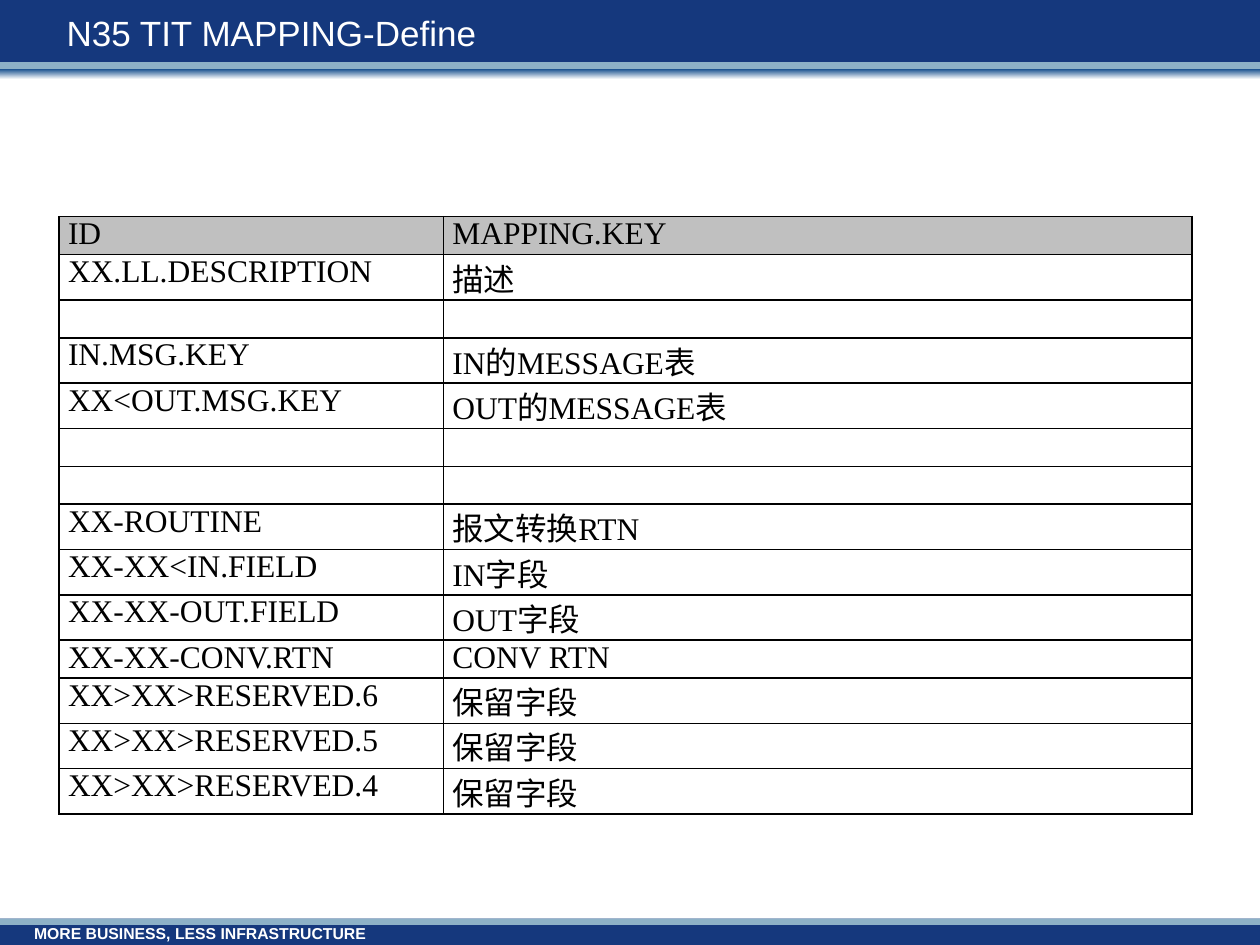
from lxml import etree
from pptx import Presentation
from pptx.dml.color import RGBColor
from pptx.enum.shapes import MSO_SHAPE
from pptx.enum.text import MSO_ANCHOR, PP_ALIGN
from pptx.oxml.ns import qn
from pptx.util import Inches, Pt

RECT = MSO_SHAPE.RECTANGLE
MIDDLE = MSO_ANCHOR.MIDDLE
JUSTIFY = PP_ALIGN.JUSTIFY

NAVY, PALE, WHITE, BLACK, GREY = "15387D", "8DB1C7", "FFFFFF", "000000", "C0C0C0"
SERIF = "Times New Roman"
SIZE = 18

# top, height, fill (a pair is a gradient from top to bottom), line
BANDS = [
    (0, 0.5, NAVY, None),
    (0.5, 0.08, PALE, PALE),
    (0.55, 0.08, ("1C5390", WHITE), None),
    (7.29, 0.21, NAVY, None),
    (7.29, 0.05, PALE, None),
]
TITLE = "N35 TIT MAPPING-Define"
FOOTER = "MORE BUSINESS, LESS INFRASTRUCTURE"
FIELDS = [
    ("ID", "MAPPING.KEY"),
    ("XX.LL.DESCRIPTION", "描述"),
    ("", ""),
    ("IN.MSG.KEY", "IN的MESSAGE表"),
    ("XX<OUT.MSG.KEY", "OUT的MESSAGE表"),
    ("", ""),
    ("", ""),
    ("XX-ROUTINE", "报文转换RTN"),
    ("XX-XX<IN.FIELD", "IN字段"),
    ("XX-XX-OUT.FIELD", "OUT字段"),
    ("XX-XX-CONV.RTN", "CONV RTN"),
    ("XX>XX>RESERVED.6", "保留字段"),
    ("XX>XX>RESERVED.5", "保留字段"),
    ("XX>XX>RESERVED.4", "保留字段"),
]
COLS = (3.05, 5.94)
LOW, TALL = 0.28, 0.36  # rows in Latin script only, rows with Chinese


def rgb(code):
    return RGBColor.from_string(code)


def write(para, text, size=SIZE, font=SERIF, color=BLACK, bold=False, align=None):
    para.alignment = align
    if not text:
        # An empty line takes its height from the end mark
        end = etree.SubElement(para._p, qn("a:endParaRPr"), sz=str(size * 100))
        etree.SubElement(end, qn("a:latin"), typeface=font)
        return
    run = para.add_run()
    run.text = text
    run.font.size = Pt(size)
    run.font.name = font
    run.font.bold = bold
    run.font.color.rgb = rgb(color)


def add_band(slide, top, height, fill, line):
    band = slide.shapes.add_shape(RECT, 0, Inches(top), Inches(10), Inches(height))
    band.shadow.inherit = False
    if isinstance(fill, tuple):
        band.fill.gradient()
        band.fill.gradient_angle = 270
        for stop, code in zip(band.fill.gradient_stops, fill):
            stop.color.rgb = rgb(code)
    else:
        band.fill.solid()
        band.fill.fore_color.rgb = rgb(fill)
    if line:
        band.line.color.rgb = rgb(line)
        band.line.width = Pt(0.75)
    else:
        band.line.fill.background()


def add_label(slide, text, box, inset, **style):
    frame = slide.shapes.add_textbox(*map(Inches, box)).text_frame
    frame.word_wrap = True
    frame.vertical_anchor = MIDDLE
    frame.margin_left = frame.margin_right = Inches(inset)
    frame.margin_top = frame.margin_bottom = Inches(inset / 2)
    write(frame.paragraphs[0], text, font="Arial", color=WHITE, **style)


def add_borders(cell):
    props = cell._tc.get_or_add_tcPr()
    for spot, side in enumerate(("lnL", "lnR", "lnT", "lnB")):
        line = etree.Element(qn("a:" + side), w=str(Pt(1)))
        fill = etree.SubElement(line, qn("a:solidFill"))
        etree.SubElement(fill, qn("a:srgbClr"), val=BLACK)
        props.insert(spot, line)


def add_fields(slide):
    rows = [LOW if "".join(texts).isascii() else TALL for texts in FIELDS]
    frame = slide.shapes.add_table(
        len(rows), len(COLS), Inches(0.47), Inches(1.72),
        Inches(sum(COLS)), Inches(sum(rows)))
    table = frame.table
    for col, width in zip(table.columns, COLS):
        col.width = Inches(width)
    for r, texts in enumerate(FIELDS):
        table.rows[r].height = Inches(rows[r])
        for c, text in enumerate(texts):
            cell = table.cell(r, c)
            cell.margin_left = cell.margin_right = Inches(0.07)
            cell.margin_top = cell.margin_bottom = 0
            if r == 0:
                cell.fill.solid()
                cell.fill.fore_color.rgb = rgb(GREY)
            else:
                cell.fill.background()
            add_borders(cell)
            write(cell.text_frame.paragraphs[0], text, align=JUSTIFY)


def main():
    deck = Presentation()
    deck.slide_width, deck.slide_height = Inches(10), Inches(7.5)
    slide = deck.slides.add_slide(deck.slide_layouts[6])
    for band in BANDS:
        add_band(slide, *band)
    add_label(slide, FOOTER, (0.27, 7.28, 7.01, 0.26), 0, size=9, bold=True)
    add_label(slide, TITLE, (0.43, 0.08, 7.83, 0.36), 0.1, size=20)
    add_fields(slide)
    deck.save("out.pptx")


if __name__ == "__main__":
    main()
